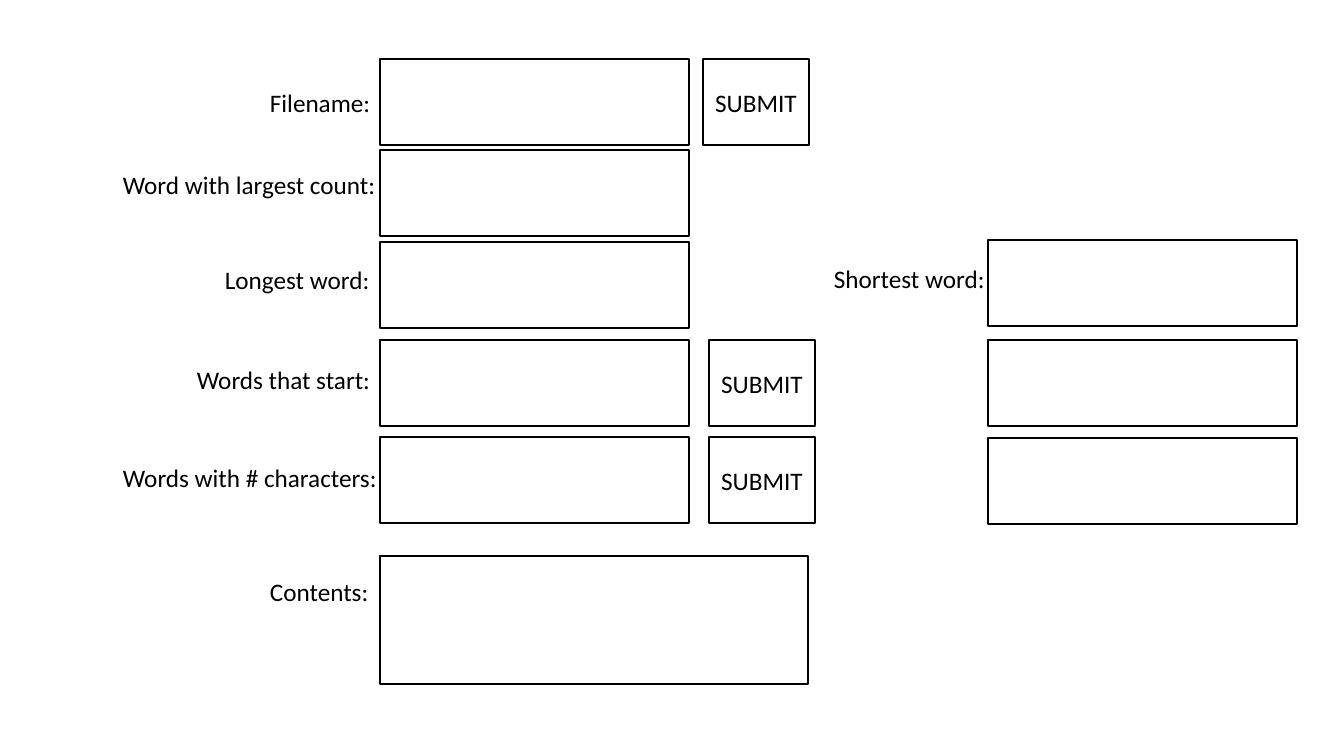
from collections import namedtuple
from dataclasses import dataclass

from pptx import Presentation
from pptx import util as u
from pptx.dml import color
from pptx.enum import shapes, text

SCALE = 914400 / 100.8
Box = namedtuple("Box", "left top width height")
Row = namedtuple("Row", "label label_left label_top label_width field_top submit_left")


@dataclass(frozen=True)
class Theme:
    """Colours, type and line sizes of the slide."""
    ink: color.RGBColor = color.RGBColor(0, 0, 0)
    font: str = "Calibri"
    size: int = 18
    line: int = 1


THEME = Theme()
FIELD_WIDTH, SUBMIT_WIDTH, ROW_HEIGHT, LABEL_HEIGHT = 309, 106, 86, 40
QUERY_ROWS = [
    Row("Filename:", 147, 23, 138, 0, 590),
    Row("Word with largest count:", 0, 105, 284, 91, None),
    Row("Longest word:", 102, 200, 284, 183, None),
    Row("Words that start:", 74, 300, 284, 281, 596),
    Row("Words with # characters:", 0, 398, 428, 378, 596),
]
RESULT_TOPS = [0, 100, 198]


def emu(pixels):
    """Turn pixels into EMU."""
    return u.Emu(round(pixels * SCALE))


def place(box):
    """Give the EMU position and size of a box."""
    return [emu(length) for length in box]


def inside(box, left, top, width, height):
    """Give a box offset from the corner of its region."""
    return Box(box.left + left, box.top + top, width, height)


def write(frame, wording, align=text.PP_ALIGN.LEFT, anchor=text.MSO_ANCHOR.TOP):
    """Put formatted wording in a text frame."""
    frame.word_wrap = True
    frame.vertical_anchor = anchor
    para = frame.paragraphs[0]
    para.alignment = align
    span = para.add_run()
    span.text = wording
    span.font.name = THEME.font
    span.font.size = u.Pt(THEME.size)
    span.font.color.rgb = THEME.ink


def add_label(page, box, wording):
    """Add a label that grows with its text."""
    frame = page.shapes.add_textbox(*place(box)).text_frame
    write(frame, wording)
    frame.auto_size = text.MSO_AUTO_SIZE.SHAPE_TO_FIT_TEXT


def add_field(page, box, wording=None):
    """Add an outlined field, with centred wording for a button."""
    field = page.shapes.add_shape(shapes.MSO_SHAPE.RECTANGLE, *place(box))
    field.shadow.inherit = False
    field.fill.background()
    field.line.color.rgb = THEME.ink
    field.line.width = u.Pt(THEME.line)
    if wording:
        write(field.text_frame, wording, align=text.PP_ALIGN.CENTER,
              anchor=text.MSO_ANCHOR.MIDDLE)


def add_queries(page, box):
    """Add the rows of labels, fields and submit buttons."""
    for row in QUERY_ROWS:
        add_field(page, inside(box, 267, row.field_top, FIELD_WIDTH, ROW_HEIGHT))
        add_label(page, inside(box, row.label_left, row.label_top,
                               row.label_width, LABEL_HEIGHT), row.label)
        if row.submit_left:
            add_field(page, inside(box, row.submit_left, row.field_top,
                                   SUBMIT_WIDTH, ROW_HEIGHT), "SUBMIT")


def add_results(page, box):
    """Add the shortest word and the two result fields under it."""
    for top in RESULT_TOPS:
        add_field(page, inside(box, 164, top, FIELD_WIDTH, ROW_HEIGHT))
    add_label(page, inside(box, 0, 18, 284, LABEL_HEIGHT), "Shortest word:")


def add_contents(page, box):
    """Add the contents label and its large field."""
    add_field(page, inside(box, 120, 0, 428, box.height))
    add_label(page, inside(box, 0, 15, 138, LABEL_HEIGHT), "Contents:")


def main():
    """Build and save the deck."""
    deck = Presentation()
    deck.slide_width, deck.slide_height = emu(1344), emu(756)
    page = deck.slides.add_slide(deck.slide_layouts[6])
    add_queries(page, Box(113, 59, 702, 464))
    add_results(page, Box(824, 240, 473, 284))
    add_contents(page, Box(260, 556, 548, 128))
    deck.save("out.pptx")


main()
